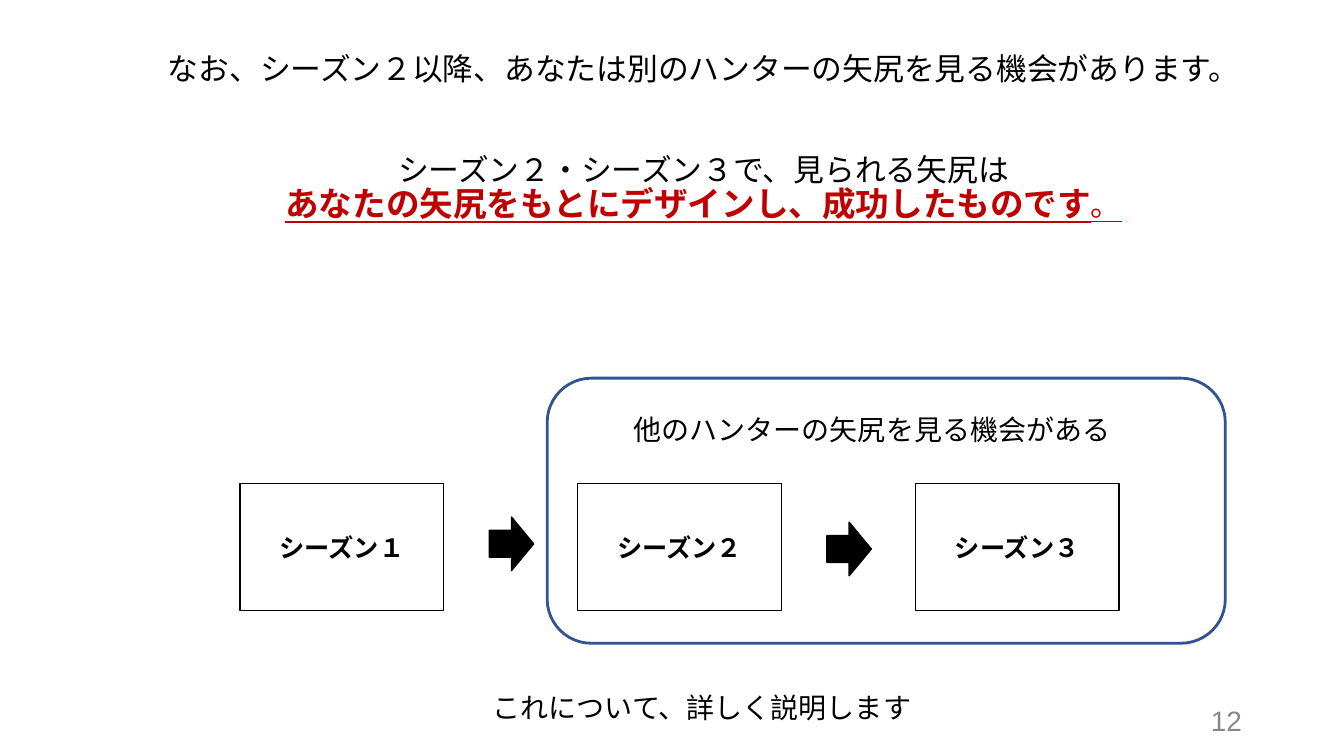
import pptx
import pptx.util
import pptx.dml.color
import pptx.enum.shapes
import pptx.enum.text
import pptx.oxml

Cm = pptx.util.Cm
Pt = pptx.util.Pt
Kind = pptx.enum.shapes.MSO_SHAPE
Align = pptx.enum.text.PP_ALIGN
Anchor = pptx.enum.text.MSO_ANCHOR


def color(code):
    return pptx.dml.color.RGBColor.from_string(code)


def place(item, box):
    item.left, item.top, item.width, item.height = map(Cm, box)


def style(run, size, code="000000", bold=False, under=False):
    font = run.font
    font.name, font.size = "Arial", Pt(size)
    font.bold, font.underline = bold, under
    font.color.rgb = color(code)


def write(item, text, size, align=Align.CENTER, anchor=Anchor.TOP,
          space=1.0, code="000000", bold=False):
    frame = item.text_frame
    frame.text = text
    frame.word_wrap = True
    frame.auto_size = pptx.enum.text.MSO_AUTO_SIZE.NONE
    frame.vertical_anchor = anchor
    for para in frame.paragraphs:
        para.alignment = align
        para.line_spacing = space
        para.space_before = Pt(0)
        for run in para.runs:
            style(run, size, code, bold)


def label(slide, box, text, size, **look):
    item = slide.shapes.add_textbox(*map(Cm, box))
    write(item, text, size, **look)


def shape(slide, kind, box, fill, line, width):
    item = slide.shapes.add_shape(kind, *map(Cm, box))
    item.shadow.inherit = False
    if fill:
        item.fill.solid()
        item.fill.fore_color.rgb = color(fill)
    else:
        item.fill.background()
    item.line.color.rgb = color(line)
    item.line.width = Pt(width)
    return item


def plain(para):
    props = para._p.get_or_add_pPr()
    props.set("marL", "0")
    props.set("indent", "0")
    props.append(pptx.oxml.parse_xml(
        '<a:buNone xmlns:a="http://schemas.openxmlformats.org/drawingml/2006/main"/>'))


def intro(slide, box):
    left, top, wide, high = box
    title, body = slide.shapes.title, slide.placeholders[1]
    place(title, (left, top, wide, 1.5))
    write(title, "なお、シーズン２以降、あなたは別のハンターの矢尻を見る機会があります。",
          22, space=0.9)
    place(body, (left, top + 2.53, wide, high - 2.53))
    write(body, "シーズン２・シーズン３で、見られる矢尻は\n"
          "あなたの矢尻をもとにデザインし、成功したものです", 22, space=0.9)
    for para in body.text_frame.paragraphs:
        plain(para)
    style(para.runs[0], 24, "C00000", True, True)
    stop = para.add_run()
    stop.text = "。"
    style(stop, 22, "C00000", False, True)


def flow(slide, box):
    left, top, wide, high = box
    card, step = 5.13, (wide - 5.13) / 2
    for num, mark in enumerate("１２３"):
        item = shape(slide, Kind.RECTANGLE, (left + num * step, top, card, high),
                     "FFFFFF", "000000", 1)
        write(item, "シーズン" + mark, 18, anchor=Anchor.MIDDLE, bold=True)
    for num in range(2):
        shape(slide, Kind.RIGHT_ARROW,
              (left + 6.28 + num * step, top + 0.84 + num * 0.13, 1.12, 1.35),
              "000000", "000000", 1)


def group(slide, box):
    left, top, wide, high = box
    shape(slide, Kind.ROUNDED_RECTANGLE, box, None, "31538F", 2)
    label(slide, (left + 1.93, top + 0.74, 14.15, 1.12),
          "他のハンターの矢尻を見る機会がある", 20, align=Align.LEFT)


def foot(slide, box):
    left, top, wide, high = box
    label(slide, box, "これについて、詳しく説明します", 20, space=0.9)
    label(slide, (left + wide - 7.36, top + 0.28, 7.62, 1.02), "12", 20,
          align=Align.RIGHT, anchor=Anchor.MIDDLE, code="888888")


deck = pptx.Presentation()
deck.slide_width, deck.slide_height = Cm(33.87), Cm(19.05)
page = deck.slides.add_slide(deck.slide_layouts[1])
intro(page, (1.6, 1.24, 32.26, 7.98))
flow(page, (6.05, 12.19, 22.15, 3.2))
group(page, (13.79, 9.53, 17.09, 6.68))
foot(page, (4.09, 17.37, 27.2, 1.6))
deck.save("out.pptx")
